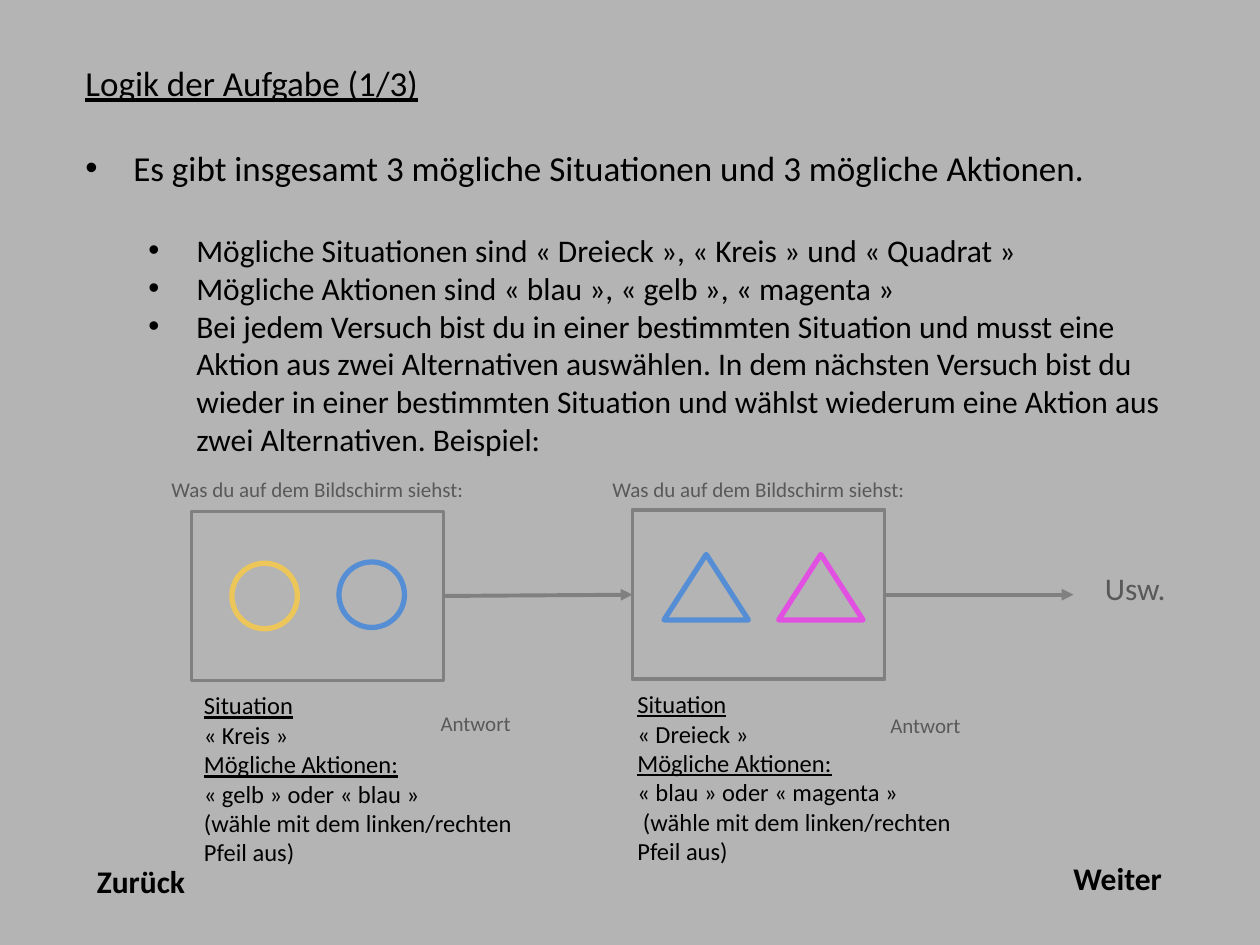
from dataclasses import dataclass

from lxml.etree import SubElement
from pptx import Presentation
from pptx.dml.color import RGBColor
from pptx.enum.shapes import MSO_CONNECTOR as Conn, MSO_SHAPE as Shape
from pptx.enum.text import MSO_AUTO_SIZE as Fit, PP_ALIGN as Align
from pptx.oxml.ns import qn
from pptx.util import Emu, Inches, Pt

COLS, ROWS = 100, 75
WIDTH, HEIGHT = Inches(10), Inches(7.5)
BLACK, DARK, GREY, BACKGROUND = "000000", "595959", "808080", "B4B4B4"
YELLOW, BLUE, MAGENTA = "EDC659", "558ED5", "E250E2"
GAP = 24.4


@dataclass
class Line:
    """One paragraph of text and its look."""
    text: str
    size: float = 14
    color: str = BLACK
    bold: bool = False
    underline: bool = False
    level: int = -1
    before: float = 0
    align: Align | None = None


@dataclass
class Cue:
    """An outlined symbol inside a screen, placed in columns and rows."""
    col: float
    row: float
    color: str


@dataclass
class Trial:
    """One example trial: screen, symbols, explanation and answer label."""
    col: float
    row: float
    symbol: Shape
    symbol_width: float
    cues: list[Cue]
    note_at: tuple[float, float, float, float]
    situation: str
    actions: str
    hint: str
    answer_at: tuple[float, float]


INTRO = [
    Line("Logik der Aufgabe (1/3)", 20, underline=True),
    Line("Es gibt insgesamt 3 mögliche Situationen und 3 mögliche Aktionen.", 20, level=0, before=GAP),
    Line("Mögliche Situationen sind « Dreieck », « Kreis » und « Quadrat »", 18, level=1, before=GAP),
    Line("Mögliche Aktionen sind « blau », « gelb », « magenta »", 18, level=1),
    Line("Bei jedem Versuch bist du in einer bestimmten Situation und musst eine Aktion aus zwei "
         "Alternativen auswählen. In dem nächsten Versuch bist du wieder in einer bestimmten Situation "
         "und wählst wiederum eine Aktion aus zwei Alternativen. Beispiel:", 18, level=1),
]
TRIALS = [
    Trial(15.2, 40.6, Shape.OVAL, 5.2, [Cue(18.4, 44.7, YELLOW), Cue(26.9, 44.6, BLUE)],
          (15.2, 54.3, 26.7, 15.1), "« Kreis »", "« gelb » oder « blau »",
          "(wähle mit dem linken/rechten", (33.9, 55.9)),
    Trial(50.2, 40.5, Shape.ISOSCELES_TRIANGLE, 6.7, [Cue(52.7, 44, BLUE), Cue(61.8, 44, MAGENTA)],
          (49.6, 54.2, 27.1, 15.1), "« Dreieck »", "« blau » oder « magenta »",
          " (wähle mit dem linken/rechten", (69.6, 56.1)),
]


def x(cols: float) -> Emu:
    """Turn columns into a length."""
    return Emu(round(WIDTH * cols / COLS))


def y(rows: float) -> Emu:
    """Turn rows into a length."""
    return Emu(round(HEIGHT * rows / ROWS))


def rgb(color: str) -> RGBColor:
    """Turn a hex string into a colour."""
    return RGBColor.from_string(color)


def add_bullet(p, level: int) -> None:
    """Give a paragraph a hanging bullet at its level."""
    p.level = level
    pPr = p._p.get_or_add_pPr()
    pPr.set("marL", str(Inches(0.38 + 0.5 * level)))
    pPr.set("indent", str(-Inches(0.38)))
    SubElement(pPr, qn("a:buFont")).set("typeface", "Arial")
    SubElement(pPr, qn("a:buChar")).set("char", "•")


def add_text(s, col: float, row: float, cols: float, rows: float, lines: list[Line], wrap: bool = False) -> None:
    """Draw a text box holding the given lines."""
    tf = s.shapes.add_textbox(x(col), y(row), x(cols), y(rows)).text_frame
    tf.word_wrap = wrap
    tf.auto_size = Fit.SHAPE_TO_FIT_TEXT
    tf.text = "\n".join(line.text for line in lines)
    for p, line in zip(tf.paragraphs, lines):
        if line.before:
            p.space_before = Pt(line.before)
        if line.level >= 0:
            add_bullet(p, line.level)
        p.alignment = line.align
        for r in p.runs:
            r.font.name, r.font.size = "Calibri", Pt(line.size)
            r.font.bold, r.font.underline = line.bold, line.underline
            r.font.color.rgb = rgb(line.color)


def add_outline(s, kind: Shape, col: float, row: float, cols: float, rows: float, color: str, weight: float):
    """Draw an unfilled preset shape."""
    sp = s.shapes.add_shape(kind, x(col), y(row), x(cols), y(rows))
    sp.shadow.inherit = False
    sp.fill.background()
    sp.line.color.rgb, sp.line.width = rgb(color), Pt(weight)
    return sp


def add_arrow(s, start, end=None) -> None:
    """Draw an arrow from a screen to the next one, or 15 columns onward."""
    right, middle = start.left + start.width, start.top + start.height // 2
    arrow = s.shapes.add_connector(Conn.STRAIGHT, right, middle, right + x(15), middle)
    arrow.begin_connect(start, 3)
    if end is not None:
        arrow.end_connect(end, 1)
    arrow.line.color.rgb, arrow.line.width = rgb(GREY), Pt(2.25)
    SubElement(arrow.line._get_or_add_ln(), qn("a:tailEnd")).set("type", "triangle")
    SubElement(arrow._element.spPr, qn("a:effectLst"))


def add_trial(s, trial: Trial):
    """Draw one trial and return its screen."""
    for cue in trial.cues:
        add_outline(s, trial.symbol, cue.col, cue.row, trial.symbol_width, 5.2, cue.color, 3)
    screen = add_outline(s, Shape.FRAME, trial.col, trial.row, 20, 13.4, GREY, 2)
    screen.adjustments[0] = 0
    screen.fill.solid()
    screen.fill.fore_color.rgb = rgb("404040")
    add_text(s, trial.col - 2.7, 37.3, 25.4, 3,
             [Line("Was du auf dem Bildschirm siehst:", 12, DARK, align=Align.CENTER)])
    add_text(s, *trial.note_at, [
        Line("Situation", underline=True),
        Line(trial.situation),
        Line("Mögliche Aktionen:", underline=True),
        Line(trial.actions),
        Line(trial.hint),
        Line("Pfeil aus)"),
    ])
    add_text(s, *trial.answer_at, 7.7, 3, [Line("Antwort", 12, DARK, align=Align.CENTER)])
    return screen


def main() -> None:
    """Build the slide and save it."""
    prs = Presentation()
    prs.slide_width, prs.slide_height = WIDTH, HEIGHT
    s = prs.slides.add_slide(prs.slide_layouts[6])
    s.background.fill.solid()
    s.background.fill.fore_color.rgb = rgb(BACKGROUND)
    add_text(s, 5.8, 4.4, 88.3, 36, INTRO, wrap=True)
    first, second = [add_trial(s, trial) for trial in TRIALS]
    add_arrow(s, first, second)
    add_arrow(s, second)
    add_text(s, 86.7, 44.7, 6.9, 4, [Line("Usw.", 18, DARK)])
    add_text(s, 6.7, 67.9, 9.1, 4, [Line("Zurück", 18, bold=True)])
    add_text(s, 84.2, 67.7, 9.1, 4, [Line("Weiter", 18, bold=True)])
    prs.save("out.pptx")


if __name__ == "__main__":
    main()
